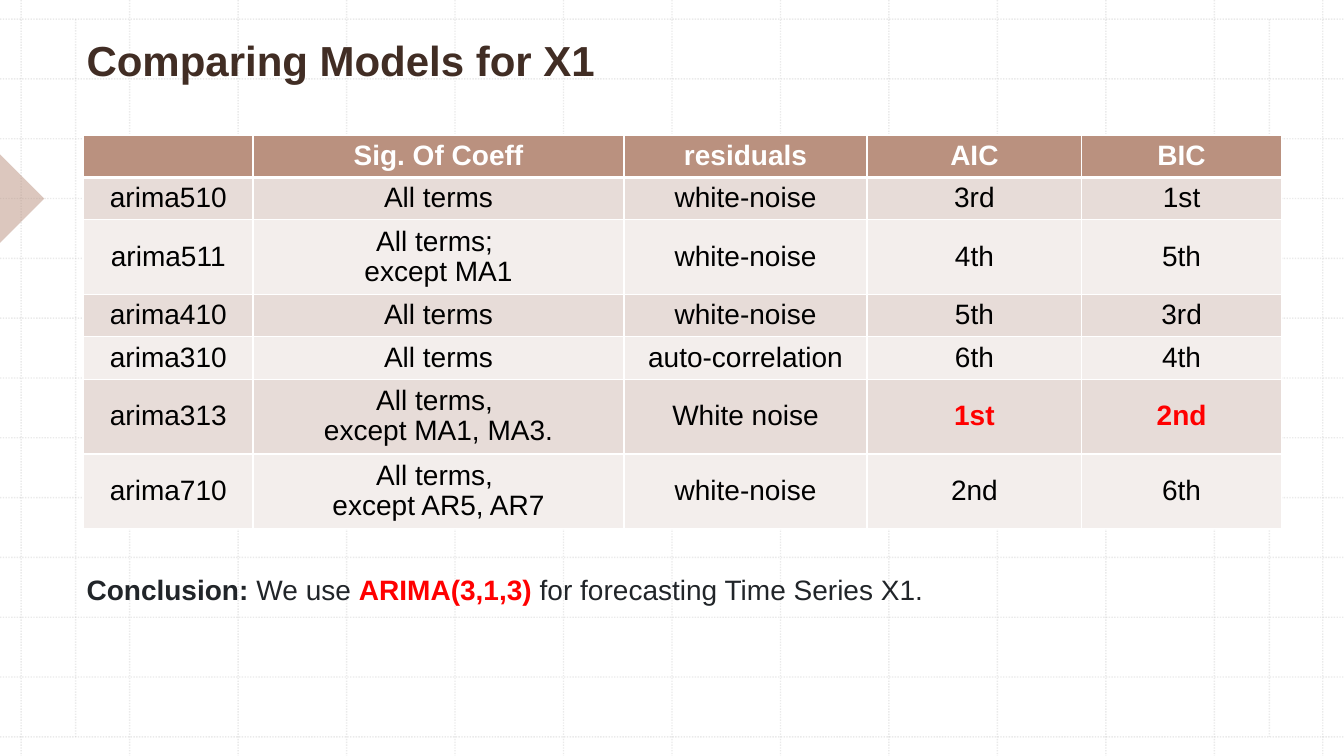
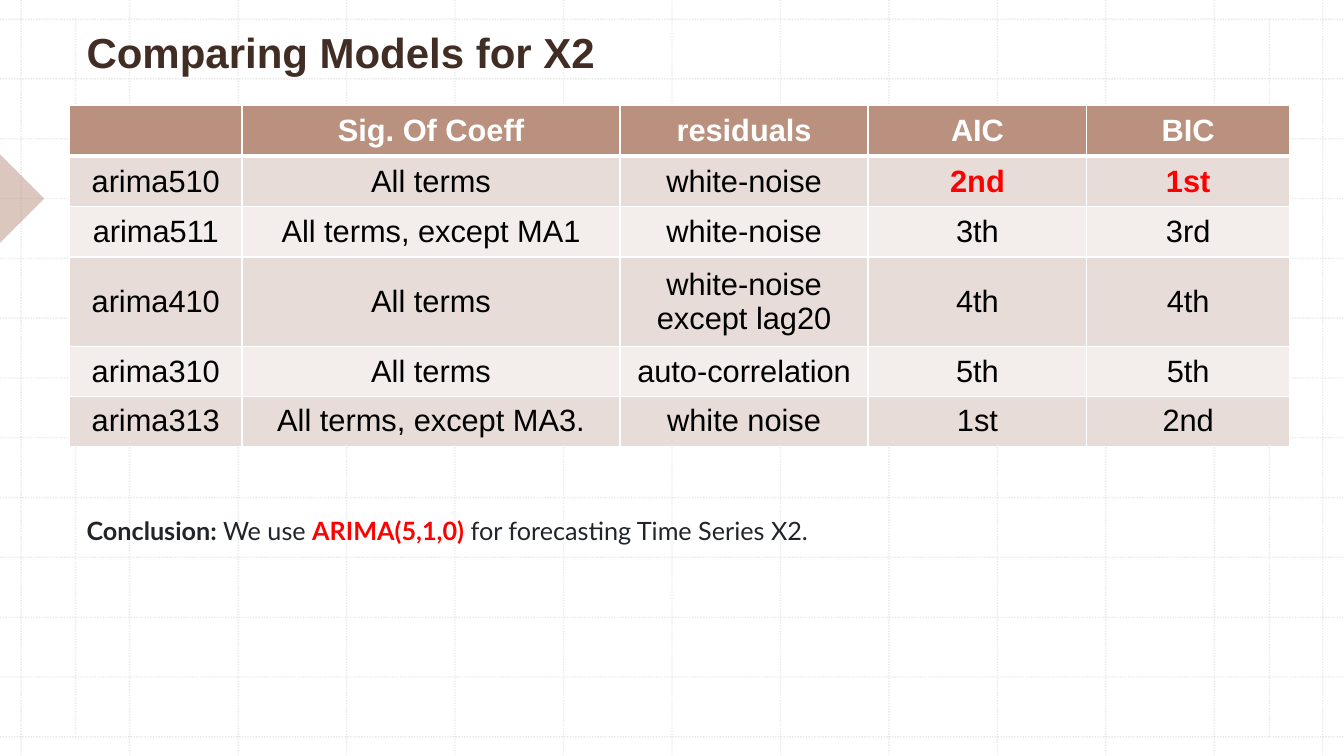
from lxml import etree
from pptx import Presentation
from pptx.dml.color import RGBColor
from pptx.enum.dml import MSO_LINE
from pptx.enum.shapes import MSO_CONNECTOR, MSO_SHAPE
from pptx.enum.text import MSO_ANCHOR, PP_ALIGN
from pptx.oxml.ns import qn
from pptx.util import Inches, Pt

STRAIGHT = MSO_CONNECTOR.STRAIGHT
RIGHT_TRIANGLE = MSO_SHAPE.RIGHT_TRIANGLE
DOTTED = MSO_LINE.ROUND_DOT
TOP, MIDDLE, BOTTOM = MSO_ANCHOR.TOP, MSO_ANCHOR.MIDDLE, MSO_ANCHOR.BOTTOM
LEFT, CENTER = PP_ALIGN.LEFT, PP_ALIGN.CENTER

WIDTH, HEIGHT = 13.33, 7.5
BODY_FONT = "Arial"
ACCENT, BAND_DARK, BAND_LIGHT = "BA917F", "E7DCD8", "F3EEEC"
WHITE, BLACK, RED = "FFFFFF", "000000", "FF0000"
TITLE_COLOR, TEXT_COLOR, GRID_COLOR = "412D24", "212529", "BCBCBC"

TEXT_LEFT = 0.76
GRID_STEPS = 12
GRID_LEFT, GRID_RIGHT = 0.21, 13.12
GRID_TOP, GRID_BOTTOM = 0.19, 7.31
MARGIN_LINES = (0.75, 12.59)

HEADERS = ["", "Sig. Of Coeff", "residuals", "AIC", "BIC"]
FIRST_RANK_COLUMN = HEADERS.index("AIC")

X1_MODELS = [
    ["arima510", "All terms", "white-noise", "3rd", "1st"],
    ["arima511", "All terms; \nexcept MA1", "white-noise", "4th", "5th"],
    ["arima410", "All terms", "white-noise", "5th", "3rd"],
    ["arima310", "All terms", "auto-correlation", "6th", "4th"],
    ["arima313", "All terms, \nexcept MA1, MA3.", "White noise", "1st", "2nd"],
    ["arima710", "All terms, \nexcept AR5, AR7", "white-noise", "2nd", "6th"],
]
X2_MODELS = [
    ["arima510", "All terms", "white-noise", "2nd", "1st"],
    ["arima511", "All terms, except MA1", "white-noise", "3th", "3rd"],
    ["arima410", "All terms", "white-noise except lag20", "4th", "4th"],
    ["arima310", "All terms", "auto-correlation", "5th", "5th"],
    ["arima313", "All terms, except MA3.", "white noise", "1st", "2nd"],
]


def rgb(value):
    return RGBColor.from_string(value)


def set_alpha(fill, percent):
    """Make a solid fill, of a shape or a line, partly transparent."""
    color = fill._xPr.find(qn("a:solidFill"))[0]
    etree.SubElement(color, qn("a:alpha")).set("val", str(percent * 1000))


def write_text(paragraph, text, *, size, color, bold=False, font=BODY_FONT,
               align=LEFT, spacing=None):
    """Add one formatted run to a paragraph."""
    paragraph.alignment = align
    if spacing:
        paragraph.line_spacing = spacing
    run = paragraph.add_run()
    run.text = text
    run.font.name = font
    run.font.size = Pt(size)
    run.font.bold = bold
    run.font.color.rgb = rgb(color)


def add_text_box(slide, top, width, height, anchor=TOP):
    """Add a text box at the common left edge and return its first paragraph."""
    box = slide.shapes.add_textbox(Inches(TEXT_LEFT), Inches(top),
                                   Inches(width), Inches(height))
    box.text_frame.word_wrap = True
    box.text_frame.vertical_anchor = anchor
    return box.text_frame.paragraphs[0]


def add_title(slide, text, top):
    paragraph = add_text_box(slide, top, 11.29, 0.69, anchor=BOTTOM)
    write_text(paragraph, text, size=30, color=TITLE_COLOR, bold=True)


def add_conclusion(slide, model, series, top, size, font):
    paragraph = add_text_box(slide, top, 10.91, 0.44)
    for text, color, bold in [
        ("Conclusion:", TEXT_COLOR, True),
        (" We use ", TEXT_COLOR, False),
        (model, RED, True),
        (f" for forecasting Time Series {series}.", TEXT_COLOR, False),
    ]:
        write_text(paragraph, text, size=size, color=color, bold=bold, font=font)


def add_grid_line(slide, x1, y1, x2, y2):
    line = slide.shapes.add_connector(STRAIGHT, Inches(x1), Inches(y1),
                                      Inches(x2), Inches(y2))
    line.line.width = Pt(1)
    line.line.color.rgb = rgb(GRID_COLOR)
    line.line.dash_style = DOTTED
    set_alpha(line.line.fill, 30)
    etree.SubElement(line.element.spPr, qn("a:effectLst"))


def add_backdrop(slide):
    """Draw the dotted grid and the pointer on the left edge."""
    column_step = (GRID_RIGHT - GRID_LEFT) / GRID_STEPS
    row_step = (GRID_BOTTOM - GRID_TOP) / GRID_STEPS
    for index in range(GRID_STEPS + 1):
        x = GRID_LEFT + index * column_step
        y = GRID_TOP + index * row_step
        add_grid_line(slide, x, 0, x, HEIGHT)
        add_grid_line(slide, 0, y, WIDTH, y)
    for x in MARGIN_LINES:
        add_grid_line(slide, x, GRID_TOP, x, GRID_BOTTOM)

    pointer = slide.shapes.add_shape(RIGHT_TRIANGLE, Inches(-0.31), Inches(1.66),
                                     Inches(0.62), Inches(0.62))
    pointer.rotation = 225
    pointer.shadow.inherit = False
    pointer.line.fill.background()
    pointer.fill.solid()
    pointer.fill.fore_color.rgb = rgb(ACCENT)
    set_alpha(pointer.fill, 50)


def move_to_layout(slide):
    """Hand the shapes of a slide to its layout, so every slide shows them."""
    layout = slide.slide_layout
    for placeholder in list(layout.placeholders):
        layout.shapes.element.remove(placeholder.element)
    for shape in list(slide.shapes):
        layout.shapes.element.append(shape.element)


def set_borders(cell, top=1, bottom=1):
    properties = cell._tc.get_or_add_tcPr()
    for side, width in (("L", 1), ("R", 1), ("T", top), ("B", bottom)):
        line = etree.SubElement(properties, qn(f"a:ln{side}"), w=str(Pt(width)))
        fill = etree.SubElement(line, qn("a:solidFill"))
        etree.SubElement(fill, qn("a:srgbClr"), val=WHITE)


def fill_cell(cell, text, fill, **text_format):
    cell.vertical_anchor = MIDDLE
    cell.fill.solid()
    cell.fill.fore_color.rgb = rgb(fill)
    frame = cell.text_frame
    for index, line in enumerate(text.split("\n") if text else []):
        paragraph = frame.add_paragraph() if index else frame.paragraphs[0]
        write_text(paragraph, line, align=CENTER, **text_format)


def add_model_table(slide, models, chosen, left, top, columns, rows, size,
                    spacing=None):
    """Add the comparison table, with the ranks of the chosen model in red."""
    frame = slide.shapes.add_table(len(rows), len(columns), Inches(left),
                                   Inches(top), Inches(sum(columns)),
                                   Inches(sum(rows)))
    table = frame.table
    table.first_row = table.horz_banding = False
    for column, width in zip(table.columns, columns):
        column.width = Inches(width)
    for row, height in zip(table.rows, rows):
        row.height = Inches(height)

    for row_index, values in enumerate([HEADERS] + models):
        is_header = row_index == 0
        band = BAND_DARK if row_index % 2 else BAND_LIGHT
        for column_index, text in enumerate(values):
            is_best = values[0] == chosen and column_index >= FIRST_RANK_COLUMN
            color = WHITE if is_header else RED if is_best else BLACK
            cell = table.cell(row_index, column_index)
            set_borders(cell, top=3 if row_index == 1 else 1,
                        bottom=3 if is_header else 1)
            fill_cell(cell, text, ACCENT if is_header else band, size=size,
                      color=color, bold=is_header or is_best, spacing=spacing)


def main():
    presentation = Presentation()
    presentation.slide_width = Inches(WIDTH)
    presentation.slide_height = Inches(HEIGHT)
    blank = presentation.slide_layouts[6]

    slide = presentation.slides.add_slide(blank)
    add_backdrop(slide)
    move_to_layout(slide)
    add_title(slide, "Comparing Models for X1", top=0.2)
    add_model_table(slide, X1_MODELS, "arima313", left=0.83, top=1.34,
                    columns=[1.68, 3.68, 2.41, 2.13, 1.98],
                    rows=[0.4, 0.4, 0.71, 0.4, 0.4, 0.71, 0.71],
                    size=20, spacing=0.96)
    add_conclusion(slide, "ARIMA(3,1,3)", "X1", top=5.63, size=20, font=BODY_FONT)

    slide = presentation.slides.add_slide(blank)
    add_title(slide, "Comparing Models for X2", top=0.12)
    add_model_table(slide, X2_MODELS, "arima510", left=0.69, top=1.05,
                    columns=[1.71, 3.75, 2.46, 2.17, 2.01],
                    rows=[0.5, 0.5, 0.5, 0.89, 0.49, 0.5], size=22)
    add_conclusion(slide, "ARIMA(5,1,0)", "X2", top=5.06, size=18, font="Lato")

    presentation.save("out.pptx")


if __name__ == "__main__":
    main()
